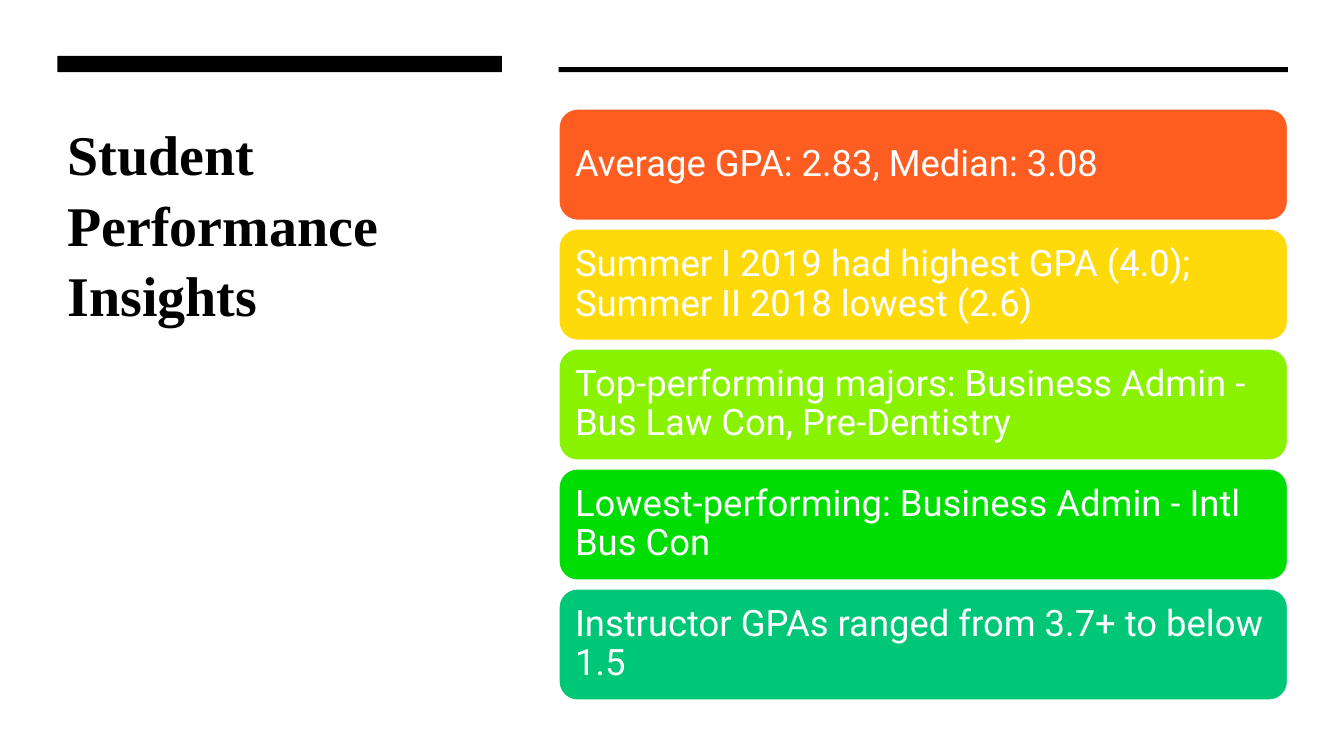
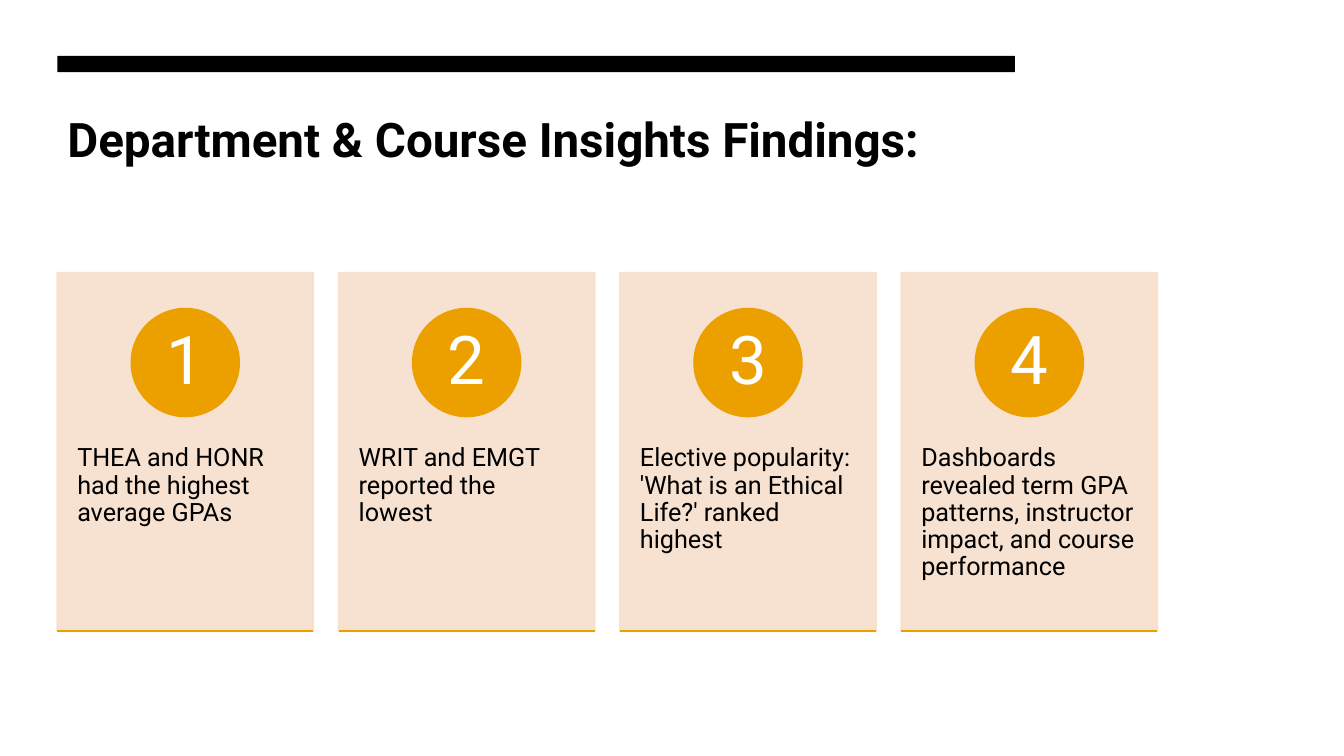
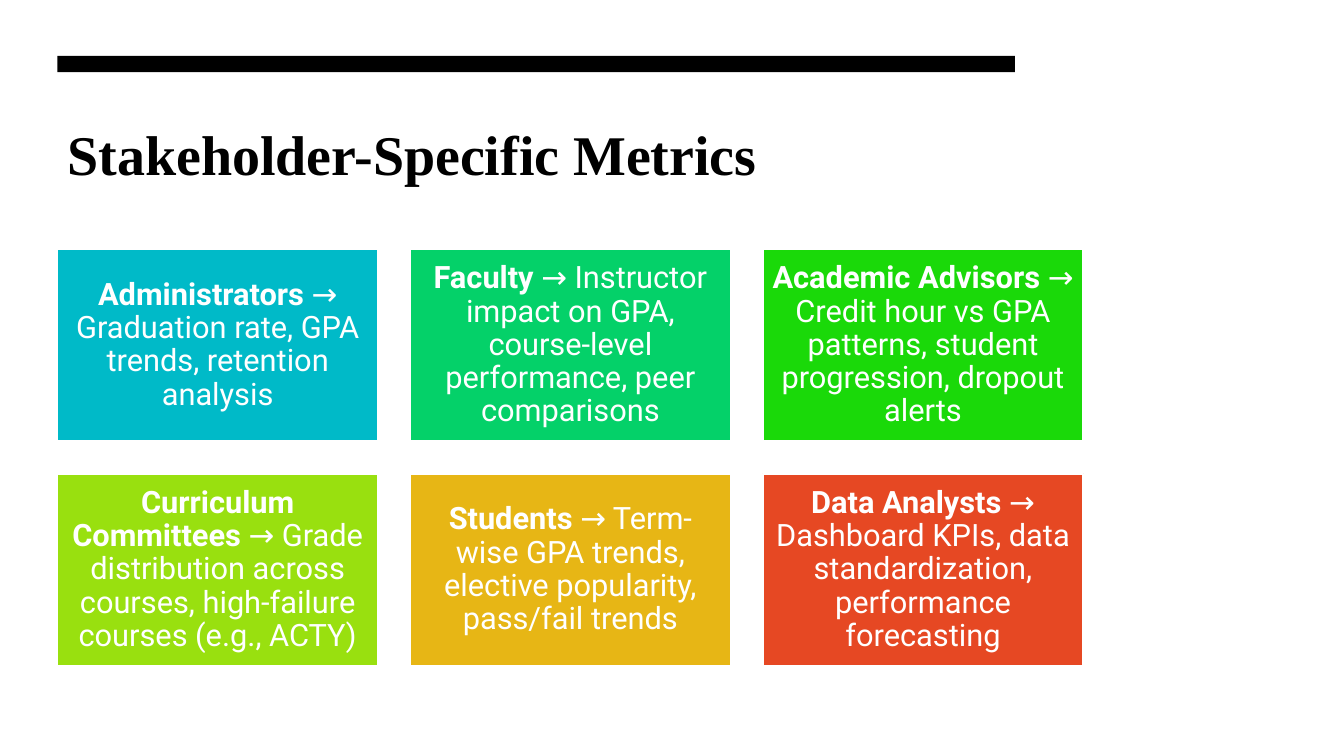
from dataclasses import dataclass

from lxml import etree
from pptx import Presentation
from pptx import util as u
from pptx.dml.color import RGBColor
from pptx.enum import shapes, text
from pptx.oxml import ns

Pt = u.Pt


@dataclass(frozen=True)
class Theme:
    ink: str = "000000"
    paper: str = "FFFFFF"
    card: str = "F7DFCC"
    accent: str = "EBA000"
    sans: str = "Roboto"
    serif: str = "Times New Roman"
    serif_title: float = 40
    sans_title: float = 34
    panel: float = 26
    tile: float = 22
    card_text: float = 18
    number: float = 48
    outline: float = 1.5
    tight: float = 0.9
    margin: float = 41


THEME = Theme()

INSIGHTS = [
    ("FE5D21", "Average GPA: 2.83, Median: 3.08"),
    ("FEDA0B", "Summer I 2019 had highest GPA (4.0); Summer II 2018 lowest (2.6)"),
    ("89F201", "Top-performing majors: Business Admin - Bus Law Con, Pre-Dentistry"),
    ("00DD04", "Lowest-performing: Business Admin - Intl Bus Con"),
    ("00C777", "Instructor GPAs ranged from 3.7+ to below 1.5"),
]

FINDINGS = [
    "THEA and HONR had the highest average GPAs",
    "WRIT and EMGT reported the lowest",
    "Elective popularity: 'What is an Ethical Life?' ranked highest",
    "Dashboards revealed term GPA patterns, instructor impact, and course performance",
]

STAKEHOLDERS = [
    ("00BAC8", "Administrators", "Graduation rate, GPA trends, retention analysis"),
    ("04D169", "Faculty", "Instructor impact on GPA, course-level performance, peer comparisons"),
    ("1AD909", "Academic Advisors", "Credit hour vs GPA patterns, student progression, dropout alerts"),
    ("99E00F", "Curriculum Committees", "Grade distribution across courses, high-failure courses (e.g., ACTY)"),
    ("E7B615", "Students", "Term-wise GPA trends, elective popularity, pass/fail trends"),
    ("E64823", "Data Analysts", "Dashboard KPIs, data standardization, performance forecasting"),
]


def color(value):
    return RGBColor.from_string(value)


def add_block(slide, kind, box, fill, line=None):
    shape = slide.shapes.add_shape(kind, *(Pt(length) for length in box))
    shape.shadow.inherit = False
    shape.fill.solid()
    shape.fill.fore_color.rgb = color(fill)
    if line:
        shape.line.color.rgb = color(line)
        shape.line.width = Pt(THEME.outline)
    else:
        shape.line.fill.background()
    return shape


def set_opacity(shape, percent):
    for fill_color in shape._element.spPr.iter(ns.qn("a:srgbClr")):
        etree.SubElement(fill_color, ns.qn("a:alpha"), val=str(percent * 1000))


def write(shape, parts, size, ink, insets,
          align=text.PP_ALIGN.LEFT, anchor=text.MSO_ANCHOR.MIDDLE,
          font=THEME.sans, spacing=THEME.tight):
    frame = shape.text_frame
    frame.word_wrap = True
    frame.auto_size = text.MSO_AUTO_SIZE.NONE
    frame.vertical_anchor = anchor
    frame.margin_left = frame.margin_right = Pt(insets[0])
    frame.margin_top, frame.margin_bottom = Pt(insets[1]), Pt(insets[2])
    paragraph = frame.paragraphs[0]
    paragraph.alignment = align
    paragraph.line_spacing = spacing
    for words, bold in parts:
        run = paragraph.add_run()
        run.text = words
        run.font.name = font
        run.font.size = Pt(size)
        run.font.bold = bold
        run.font.color.rgb = color(ink)


def add_titled_slide(presentation, title, width, height, font, size, spacing):
    slide = presentation.slides.add_slide(presentation.slide_layouts[5])
    placeholder = slide.shapes.title
    placeholder.left, placeholder.top = Pt(THEME.margin), Pt(77)
    placeholder.width, placeholder.height = Pt(width), Pt(height)
    write(placeholder, [(title, True)], size, THEME.ink, (7.2, 6, 3.6),
          anchor=text.MSO_ANCHOR.TOP, font=font, spacing=spacing)
    add_block(slide, shapes.MSO_SHAPE.RECTANGLE, (THEME.margin, 40, width, 11.6), THEME.ink)
    return slide


def add_panels(slide, left, top, width, height, gap):
    for index, (fill, words) in enumerate(INSIGHTS):
        box = (left, top + index * (height + gap), width, height)
        panel = add_block(slide, shapes.MSO_SHAPE.ROUNDED_RECTANGLE, box, fill, THEME.paper)
        write(panel, [(words, False)], THEME.panel, THEME.paper, (7.9, 8, 8))


def add_rule(slide, left, top, width):
    rule = slide.shapes.add_connector(
        shapes.MSO_CONNECTOR.STRAIGHT, Pt(left), Pt(top), Pt(left + width), Pt(top))
    rule.line.color.rgb = color(THEME.accent)
    rule.line.width = Pt(THEME.outline)
    etree.SubElement(rule._element.spPr, ns.qn("a:effectLst"))


def add_card(slide, number, words, left, top, width, height):
    card = add_block(slide, shapes.MSO_SHAPE.RECTANGLE, (left, top, width, height),
                     THEME.card, THEME.card)
    set_opacity(card, 90)
    write(card, [(words, False)], THEME.card_text, THEME.ink, (14.2, 123, 0),
          anchor=text.MSO_ANCHOR.TOP)
    diameter = 0.3 * height
    badge = add_block(slide, shapes.MSO_SHAPE.OVAL,
                      (left + (width - diameter) / 2, top + 0.1 * height, diameter, diameter),
                      THEME.accent, THEME.accent)
    write(badge, [(str(number), False)], THEME.number, THEME.paper, (6, 1, 1),
          align=text.PP_ALIGN.CENTER)
    add_rule(slide, left, top + height, width)


def add_cards(slide, top, width, height):
    for index, words in enumerate(FINDINGS):
        add_card(slide, index + 1, words, THEME.margin + index * width * 1.1, top, width, height)


def add_tiles(slide, top, width, columns):
    height, gap = 0.6 * width, 0.1 * width
    for index, (fill, audience, metrics) in enumerate(STAKEHOLDERS):
        row, column = divmod(index, columns)
        box = (THEME.margin + column * (width + gap), top + row * (height + gap), width, height)
        tile = add_block(slide, shapes.MSO_SHAPE.RECTANGLE, box, fill, THEME.paper)
        write(tile, [(audience, True), (" → " + metrics, False)], THEME.tile, THEME.paper,
              (6.6, 6.6, 6.6), align=text.PP_ALIGN.CENTER)


def main():
    presentation = Presentation()
    presentation.slide_width, presentation.slide_height = Pt(960), Pt(540)

    performance = add_titled_slide(presentation, "Student Performance Insights", 317.5, 265,
                                   THEME.serif, THEME.serif_title, 1.05)
    add_block(performance, shapes.MSO_SHAPE.RECTANGLE, (399, 48, 521, 3.6), THEME.ink)
    add_panels(performance, 399, 77.6, 521, 80, 5.7)

    courses = add_titled_slide(presentation, "Department & Course Insights Findings:", 684, 115,
                               THEME.sans, THEME.sans_title, THEME.tight)
    add_cards(courses, 195, 182.7, 255.8)

    stakeholders = add_titled_slide(presentation, "Stakeholder-Specific Metrics", 684, 115,
                                    THEME.serif, THEME.serif_title, 1.05)
    add_tiles(stakeholders, 178, 229, 3)

    presentation.save("out.pptx")


if __name__ == "__main__":
    main()
